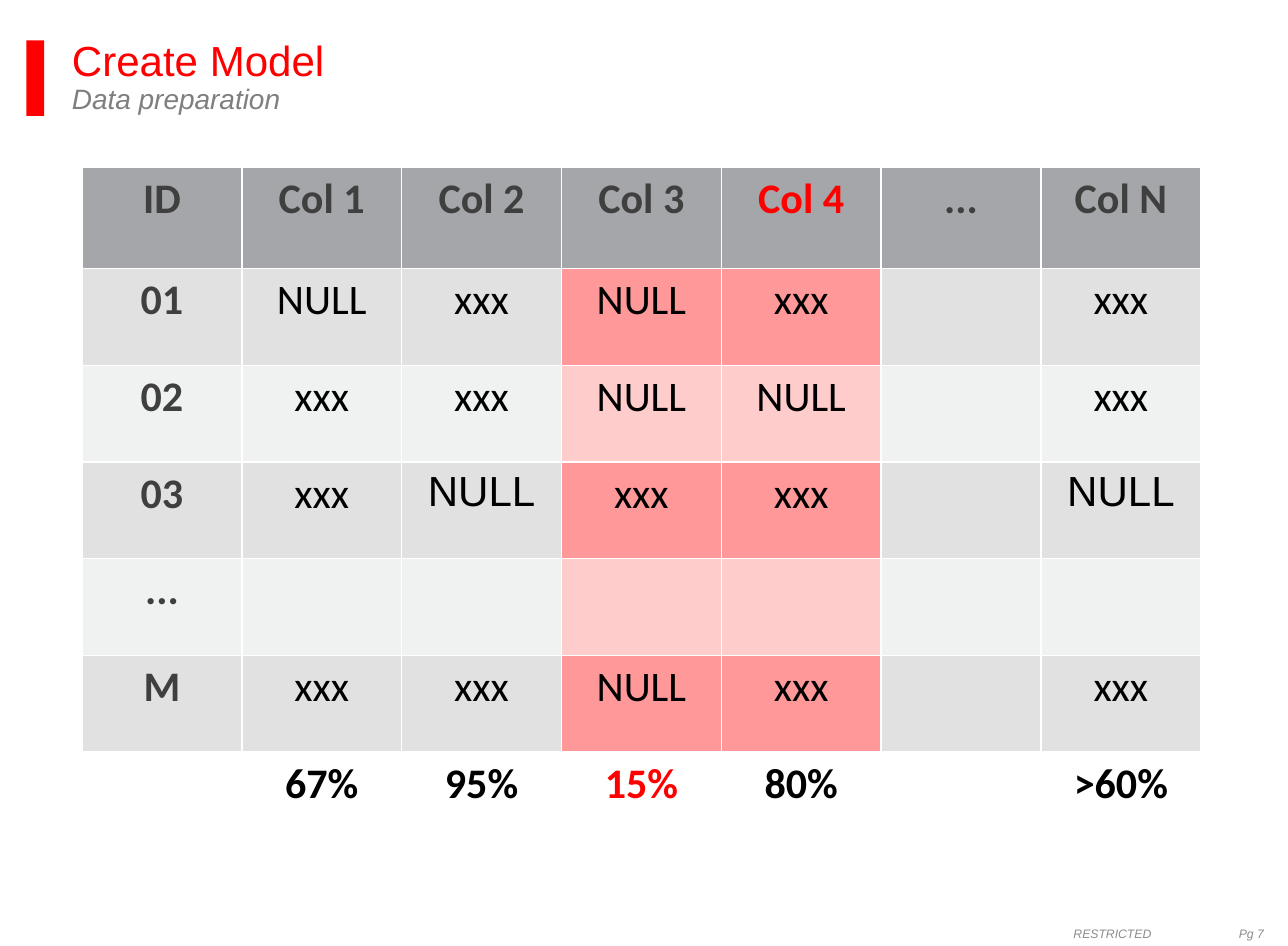
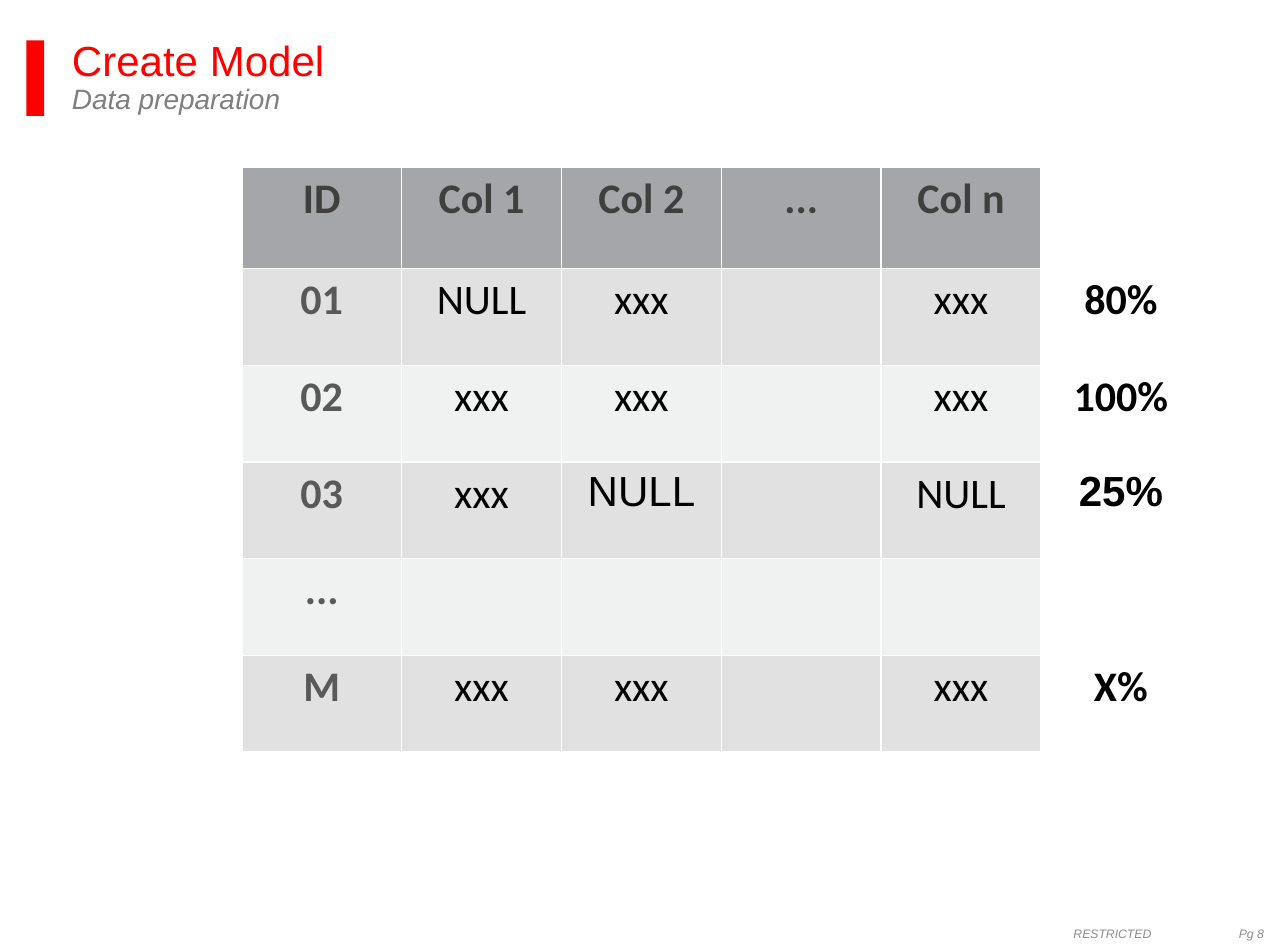
"""Build two slides that show how sparse columns and rows are found."""
from dataclasses import dataclass

from lxml.etree import SubElement
from pptx import Presentation
from pptx.dml.color import RGBColor as RGB
from pptx.enum.shapes import MSO_SHAPE as SHAPE
from pptx.enum.text import MSO_ANCHOR as ANCHOR, PP_ALIGN as ALIGN
from pptx.oxml.ns import qn
from pptx.util import Pt

PX = 9144
SIZE = 1021, 750
BAR = 21, 32, 14, 60
TITLE = 57, 32, 950, 75
FOOT = 851, 730, 160, 20
PAGE_TAB = 151
TABLE = 65, 133, 887, 540
HEAD_ROW = 80
BODY_ROWS = 6

HEAD = "Create Model"
SUB = "Data preparation"
MARK = "RESTRICTED"

SLIDES = [
    {
        "page": 7,
        "grid": [
            ["ID", "Col 1", "Col 2", "Col 3", "Col 4", "...", "Col N"],
            ["01", "NULL", "xxx", "NULL", "xxx", "", "xxx"],
            ["02", "xxx", "xxx", "NULL", "NULL", "", "xxx"],
            ["03", "xxx", "NULL", "xxx", "xxx", "", "NULL"],
            ["...", "", "", "", "", "", ""],
            ["M", "xxx", "xxx", "NULL", "xxx", "", "xxx"],
            ["", "67%", "95%", "15%", "80%", "", ">60%"],
        ],
        "cols": range(0, 7),
        "hot": {3, 4},
        "red": {(0, 4), (6, 3)},
        "arial": {(3, 2), (3, 6)},
        "id": "3F3F3F",
    },
    {
        "page": 8,
        "grid": [
            ["", "ID", "Col 1", "Col 2", "...", "Col n", ""],
            ["", "01", "NULL", "xxx", "", "xxx", "80%"],
            ["", "02", "xxx", "xxx", "", "xxx", "100%"],
            ["", "03", "xxx", "NULL", "", "NULL", "25%"],
            ["", "...", "", "", "", "", ""],
            ["", "M", "xxx", "xxx", "", "xxx", "X%"],
            ["", "", "", "", "", "", ""],
        ],
        "cols": range(1, 6),
        "hot": set(),
        "red": set(),
        "arial": {(3, 3), (3, 6)},
        "id": "595959",
    },
]


@dataclass(frozen=True)
class Theme:
    """Colours, fonts and type sizes of the deck."""
    red: str = "FF0000"
    sub: str = "7F7F7F"
    foot: str = "8C8C8C"
    head: str = "A5A6A9"
    dark: str = "3F3F3F"
    black: str = "000000"
    white: str = "FFFFFF"
    bands: tuple = ("F0F1F1", "E1E1E2")
    hots: tuple = ("FFCCCC", "FF9999")
    sans: str = "Arial"
    cell: str = "Calibri"
    big: int = 24
    mid: int = 16
    tiny: int = 7


T = Theme()


def emu(box):
    """Turn px lengths into EMU."""
    return [n * PX for n in box]


def style(run, face, size, color, bold=False, italic=False):
    """Format one run."""
    font = run.font
    font.name, font.size = face, Pt(size)
    font.bold, font.italic = bold, italic
    font.color.rgb = RGB.from_string(color)


def paint(fill, color):
    """Set a solid fill."""
    fill.solid()
    fill.fore_color.rgb = RGB.from_string(color)


def trim(frame, foot=0):
    """Clear the insets of a text frame and wrap it."""
    frame.margin_left = frame.margin_top = frame.margin_right = 0
    frame.margin_bottom = foot * PX
    frame.word_wrap = True


def add_title(slide):
    """Place the red bar and the two-line title."""
    bar = slide.shapes.add_shape(SHAPE.RECTANGLE, *emu(BAR))
    bar.shadow.inherit = False
    paint(bar.fill, T.red)
    bar.line.fill.background()
    title = slide.shapes.title
    title.left, title.top, title.width, title.height = emu(TITLE)
    frame = title.text_frame
    trim(frame, 2)
    frame.vertical_anchor = ANCHOR.TOP
    para = frame.paragraphs[0]
    para.text = f"{HEAD}\v{SUB}"
    para.alignment, para.line_spacing = ALIGN.LEFT, 0.9
    gap = para._p.find(qn("a:br"))
    SubElement(gap, qn("a:rPr"), sz=str(T.big * 100))
    top, low = para.runs
    style(top, T.sans, T.big, T.red)
    style(low, T.sans, T.mid, T.sub, italic=True)


def add_foot(slide, page):
    """Place the mark and the page number."""
    frame = slide.shapes.add_textbox(*emu(FOOT)).text_frame
    trim(frame)
    frame.vertical_anchor = ANCHOR.MIDDLE
    para = frame.paragraphs[0]
    para.text = f"{MARK}\tPg {page}"
    tabs = SubElement(para._p.get_or_add_pPr(), qn("a:tabLst"))
    SubElement(tabs, qn("a:tab"), pos=str(PAGE_TAB * PX), algn="r")
    for run in para.runs:
        style(run, T.sans, T.tiny, T.foot, italic=True)


def look(data, row, col):
    """Give the fill, text colour and weight of one cell."""
    cols = data["cols"]
    body = col in cols and row < BODY_ROWS
    if not body:
        fill, ink, bold = T.white, T.black, True
    elif row == 0:
        fill, ink, bold = T.head, T.dark, True
    else:
        fill = (T.hots if col in data["hot"] else T.bands)[row % 2]
        bold = col == cols[0]
        ink = data["id"] if bold else T.black
    return fill, T.red if (row, col) in data["red"] else ink, bold


def add_grid(slide, data):
    """Place the table and style its cells."""
    grid = data["grid"]
    rows, cols = len(grid), len(grid[0])
    wide, tall = TABLE[2:]
    table = slide.shapes.add_table(rows, cols, *emu(TABLE)).table
    table.horz_banding = False
    for col in table.columns:
        col.width = wide * PX // cols
    for row in table.rows:
        row.height = (tall - HEAD_ROW) * PX // (rows - 1)
    table.rows[0].height = HEAD_ROW * PX
    for r, line in enumerate(grid):
        for c, text in enumerate(line):
            cell = table.cell(r, c)
            fill, ink, bold = look(data, r, c)
            paint(cell.fill, fill)
            if text:
                para = cell.text_frame.paragraphs[0]
                para.text, para.alignment = text, ALIGN.CENTER
                face = T.sans if (r, c) in data["arial"] else T.cell
                style(para.runs[0], face, T.big, ink, bold)


def main():
    """Build and save the deck."""
    deck = Presentation()
    deck.slide_width, deck.slide_height = emu(SIZE)
    for data in SLIDES:
        slide = deck.slides.add_slide(deck.slide_layouts[5])
        add_title(slide)
        add_foot(slide, data["page"])
        add_grid(slide, data)
    deck.save("out.pptx")


if __name__ == "__main__":
    main()
